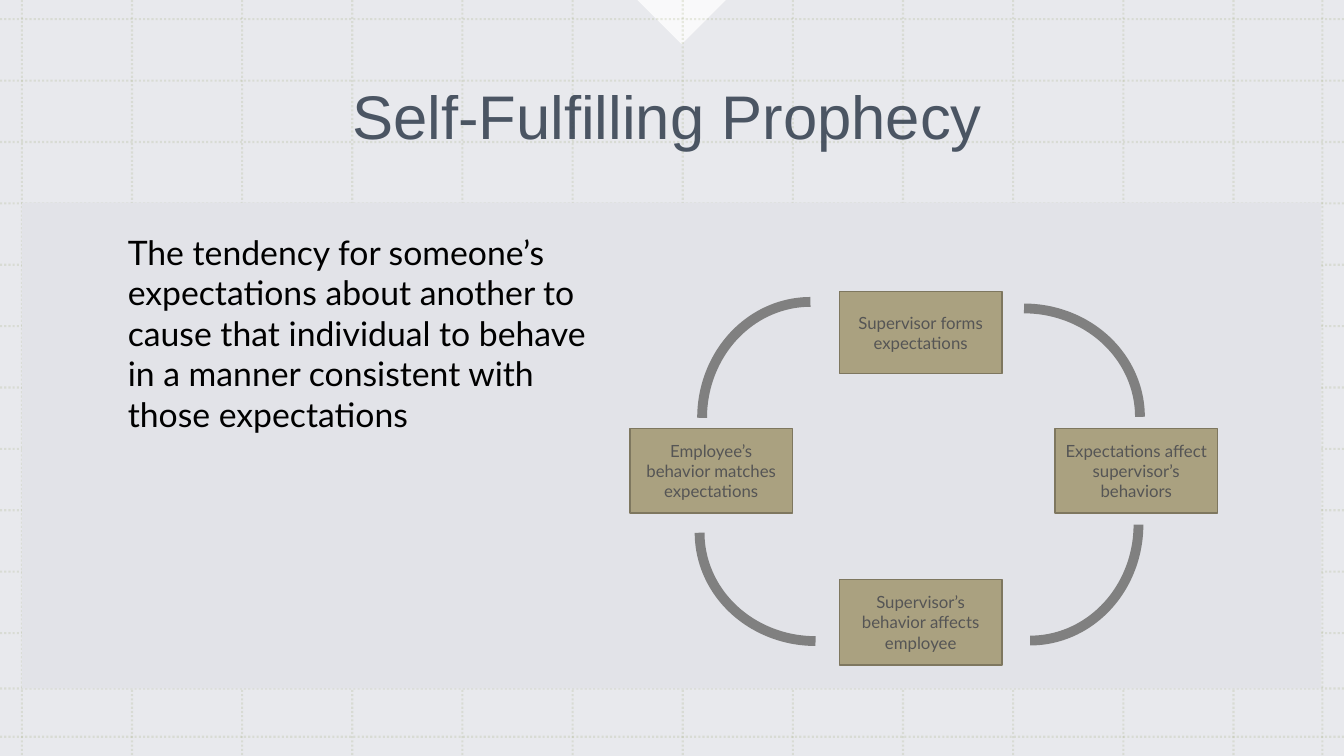
from lxml import etree
from pptx import Presentation
from pptx.dml.color import RGBColor
from pptx.enum import dml, shapes, text
from pptx.oxml.ns import qn
from pptx.util import Pt

TITLE = "Self-Fulfilling Prophecy"
BODY = ("The tendency for someone’s expectations about another to cause "
        "that individual to behave in a manner consistent with those "
        "expectations")
WIDE, HIGH = 960, 540
BOX_W = 116.1
STEPS = [  # text, left, top, height
    ("Supervisor forms expectations", 599.6, 208.2, 58.5),
    ("Expectations affect supervisor’s behaviors", 753.6, 306, 60.6),
    ("Employee’s behavior matches expectations", 450, 306, 60.6),
    ("Supervisor’s behavior affects employee", 599.6, 414, 61),
]
ARC_W, ARC_H = 165.6, 154.8
ARCS = [(648.7, 220.3), (653, 297.4), (499.7, 303.1), (496.1, 221)]
COLS = [15.6 + 78.68 * i for i in range(12)] + [944.6]
ROWS = [13.7 + 43.85 * i for i in range(11)] + [491.8, 526.3]
HUES = {"back": "E8E9ED", "panel": "E2E3E8", "white": "FFFFFF",
        "grid": "9CA671", "title": "243141", "body": "000000",
        "box": "AAA180", "edge": "7E775F", "label": "555555",
        "arc": "808080"}
KIND = shapes.MSO_SHAPE
MID = text.PP_ALIGN.CENTER

deck = Presentation()
deck.slide_width, deck.slide_height = Pt(WIDE), Pt(HIGH)
slide = deck.slides.add_slide(deck.slide_layouts[6])


def hue(name):
    return RGBColor.from_string(HUES[name])


def fade(item, pct):
    """Set the opacity of every colour in the item, in percent."""
    for tint in item._element.iter(qn("a:srgbClr")):
        etree.SubElement(tint, qn("a:alpha")).set("val", str(pct * 1000))


def rule(x1, y1, x2, y2):
    """Draw one faint dotted grid line."""
    line = slide.shapes.add_connector(
        shapes.MSO_CONNECTOR.STRAIGHT, Pt(x1), Pt(y1), Pt(x2), Pt(y2))
    line.line.color.rgb = hue("grid")
    line.line.width = Pt(1.5)
    line.line.dash_style = dml.MSO_LINE.ROUND_DOT
    etree.SubElement(line._element.spPr, qn("a:effectLst"))
    fade(line, 20)


def draw(kind, x, y, w, h, fill=None, edge=None, width=1):
    item = slide.shapes.add_shape(kind, Pt(x), Pt(y), Pt(w), Pt(h))
    item.shadow.inherit = False
    if fill:
        item.fill.solid()
        item.fill.fore_color.rgb = hue(fill)
    else:
        item.fill.background()
    if edge:
        item.line.color.rgb = hue(edge)
        item.line.width = Pt(width)
    else:
        item.line.fill.background()
    return item


def write(item, words, size, face, tint, align=None, middle=True):
    frame = item.text_frame
    frame.word_wrap = True
    frame.vertical_anchor = (text.MSO_ANCHOR.MIDDLE if middle
                             else text.MSO_ANCHOR.TOP)
    frame.text = words
    para = frame.paragraphs[0]
    para.alignment = align
    font = para.runs[0].font
    font.size, font.name = Pt(size), face
    font.color.rgb = hue(tint)
    return para


def label(x, y, w, h):
    return slide.shapes.add_textbox(Pt(x), Pt(y), Pt(w), Pt(h))


slide.background.fill.solid()
slide.background.fill.fore_color.rgb = hue("back")

notch = draw(KIND.RIGHT_TRIANGLE, 464.6, -22.3, 44.6, 44.6, "white")
notch.rotation = 315
fade(notch, 75)

for x in COLS:
    rule(x, 0, x, HIGH)
for y in ROWS:
    rule(0, y, WIDE, y)
draw(KIND.RECTANGLE, 15.6, 144.7, 928.1, 347, "panel")

title = label(23.8, 26.6, 905.8, 118.1)
write(title, TITLE, 44, "Arial", "title", MID).line_spacing = 0.9
fade(title, 80)

body = label(84.2, 162, 352.1, 298.1)
write(body, BODY, 24.1, "Lato", "body", text.PP_ALIGN.LEFT, False)

for words, x, y, h in STEPS:
    box = draw(KIND.RECTANGLE, x, y, BOX_W, h, "box", "edge")
    write(box, words, 12, "Lato", "label", MID).space_after = Pt(6)

for turn, (x, y) in enumerate(ARCS):
    arc = draw(KIND.ARC, x, y, ARC_W, ARC_H, edge="arc", width=7)
    arc.rotation = 90 * turn

deck.save("out.pptx")
